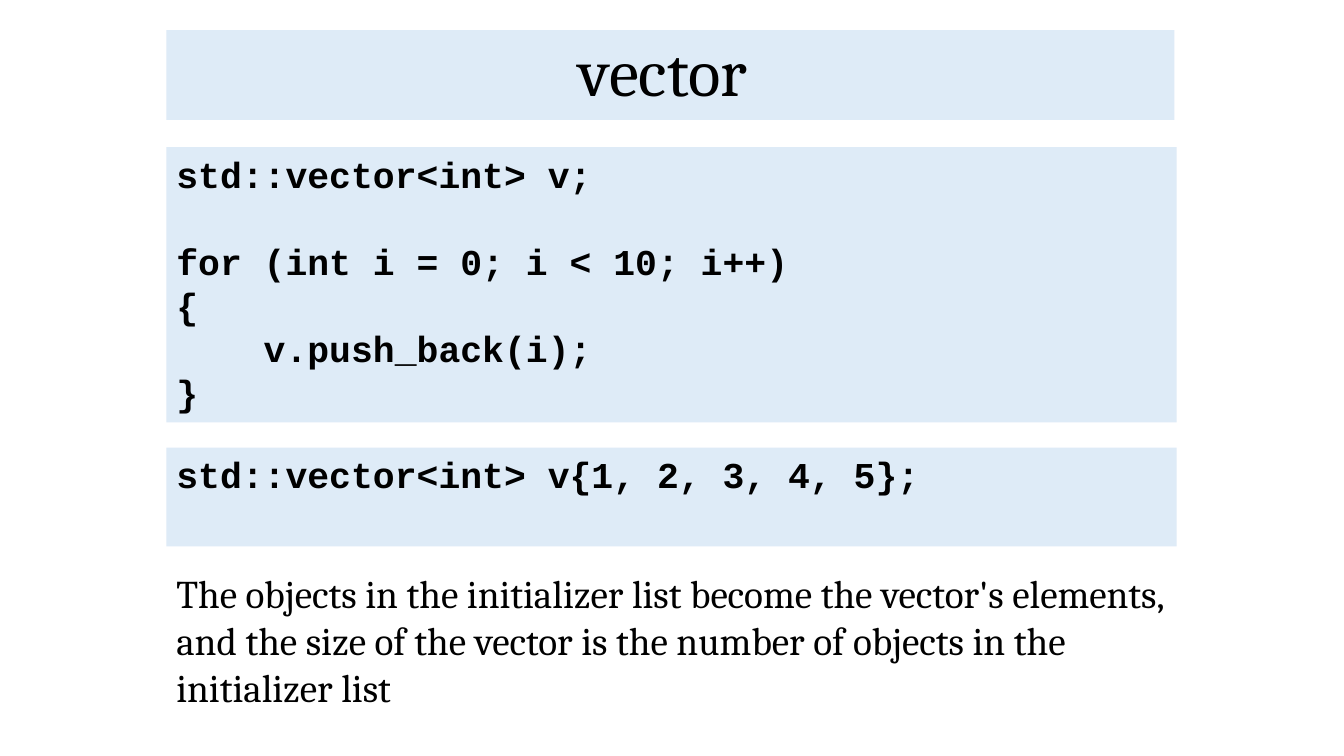
from pptx import Presentation
from pptx.dml.color import RGBColor
from pptx.enum.shapes import MSO_SHAPE
from pptx.enum.text import MSO_ANCHOR, PP_ALIGN
from pptx.util import Inches, Pt

PALE_BLUE = RGBColor(0xDE, 0xEB, 0xF7)
BLACK = RGBColor(0x00, 0x00, 0x00)

# Shares of the slide, in percent
LEFT = 12.38
TEXT_WIDTH = 75
CODE_WIDTH = 75.17

PUSH_BACK_LOOP = [
    ["std::vector<int> v;"],
    ["for (int i = 0; i < 10; i++)", "{", "    v.push_back(i);", "}"],
]
INITIALIZER_LIST = [["std::vector<int> v{1, 2, 3, 4, 5};"]]
EXPLANATION = (
    "The objects in the initializer list become the vector's elements, "
    "and the size of the vector is the number of objects in the initializer list"
)


class SlideBuilder:
    text_font = "Cambria"
    code_font = "Courier New"
    title_size = Pt(48)
    body_size = Pt(28)
    code_size = Pt(26)
    code_gap = Pt(31)

    def __init__(self, deck):
        self.deck = deck
        self.page = deck.slides.add_slide(deck.slide_layouts.get_by_name("Title Only"))

    def area(self, top, width, height):
        across, down = self.deck.slide_width / 100, self.deck.slide_height / 100
        return (round(LEFT * across), round(top * down),
                round(width * across), round(height * down))

    def style(self, paragraph, name, size, bold=False):
        font = paragraph.font
        font.name, font.size, font.bold = name, size, bold
        font.color.rgb = BLACK

    def fill(self, box):
        box.fill.solid()
        box.fill.fore_color.rgb = PALE_BLUE

    def title(self, text, top, height):
        box = self.page.shapes.title
        box.left, box.top, box.width, box.height = self.area(top, TEXT_WIDTH, height)
        self.fill(box)
        box.text_frame.vertical_anchor = MSO_ANCHOR.MIDDLE
        paragraph = box.text_frame.paragraphs[0]
        paragraph.text = text
        paragraph.alignment = PP_ALIGN.CENTER
        paragraph.line_spacing = 0.9
        self.style(paragraph, self.text_font, self.title_size)

    def code(self, sections, top, height):
        box = self.page.shapes.add_shape(
            MSO_SHAPE.RECTANGLE, *self.area(top, CODE_WIDTH, height))
        box.shadow.inherit = False
        self.fill(box)
        box.line.fill.background()
        frame = box.text_frame
        frame.word_wrap = True
        frame.vertical_anchor = MSO_ANCHOR.TOP
        frame.text = "\n".join(line for section in sections for line in section)
        for paragraph in frame.paragraphs:
            paragraph.alignment = PP_ALIGN.LEFT
            self.style(paragraph, self.code_font, self.code_size, bold=True)
        # Open a one-line gap before each later section
        start = 0
        for section in sections[:-1]:
            start += len(section)
            frame.paragraphs[start].space_before = self.code_gap

    def text(self, words, top, height):
        box = self.page.shapes.add_textbox(*self.area(top, TEXT_WIDTH, height))
        box.text_frame.word_wrap = True
        paragraph = box.text_frame.paragraphs[0]
        paragraph.text = words
        self.style(paragraph, self.text_font, self.body_size)


def main():
    deck = Presentation()
    deck.slide_width, deck.slide_height = Inches(13.33), Inches(7.5)
    builder = SlideBuilder(deck)

    # Heading
    builder.title("vector ", top=4, height=11.87)

    # Two ways to fill a vector
    builder.code(PUSH_BACK_LOOP, top=19.47, height=36.4)
    builder.code(INITIALIZER_LIST, top=59.2, height=13.07)

    # Explanation
    builder.text(EXPLANATION, top=74.67, height=20.13)

    deck.save("out.pptx")


if __name__ == "__main__":
    main()
